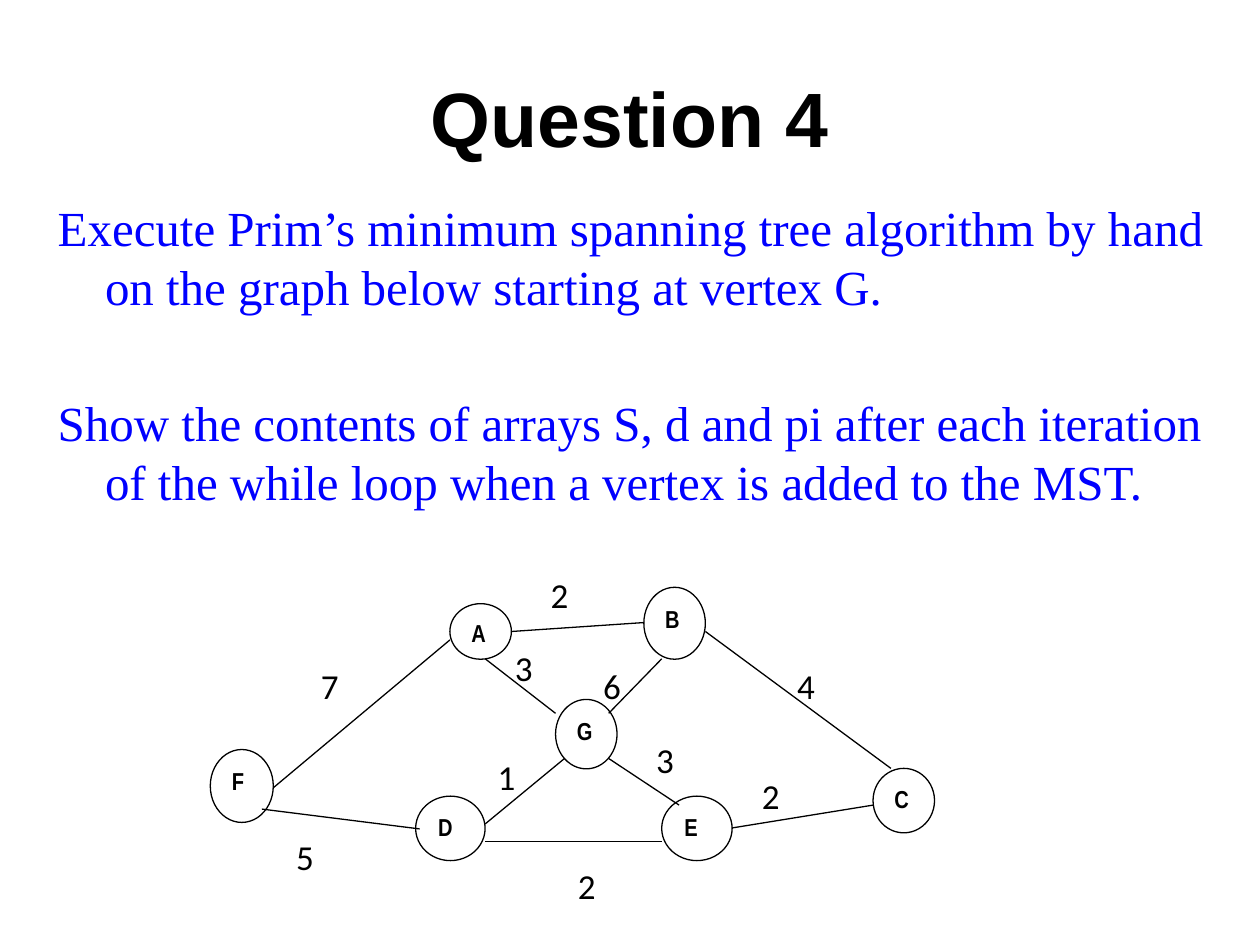
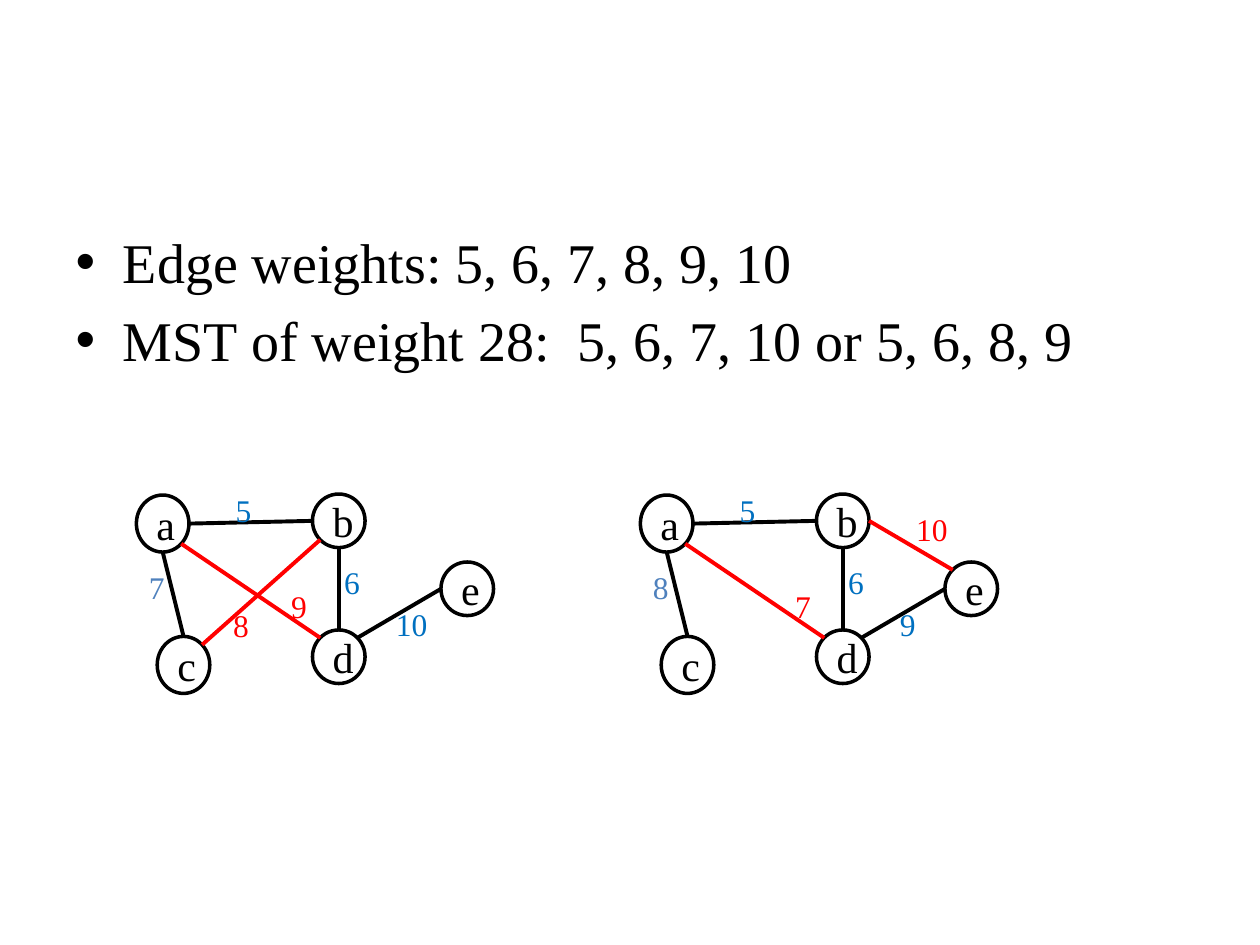
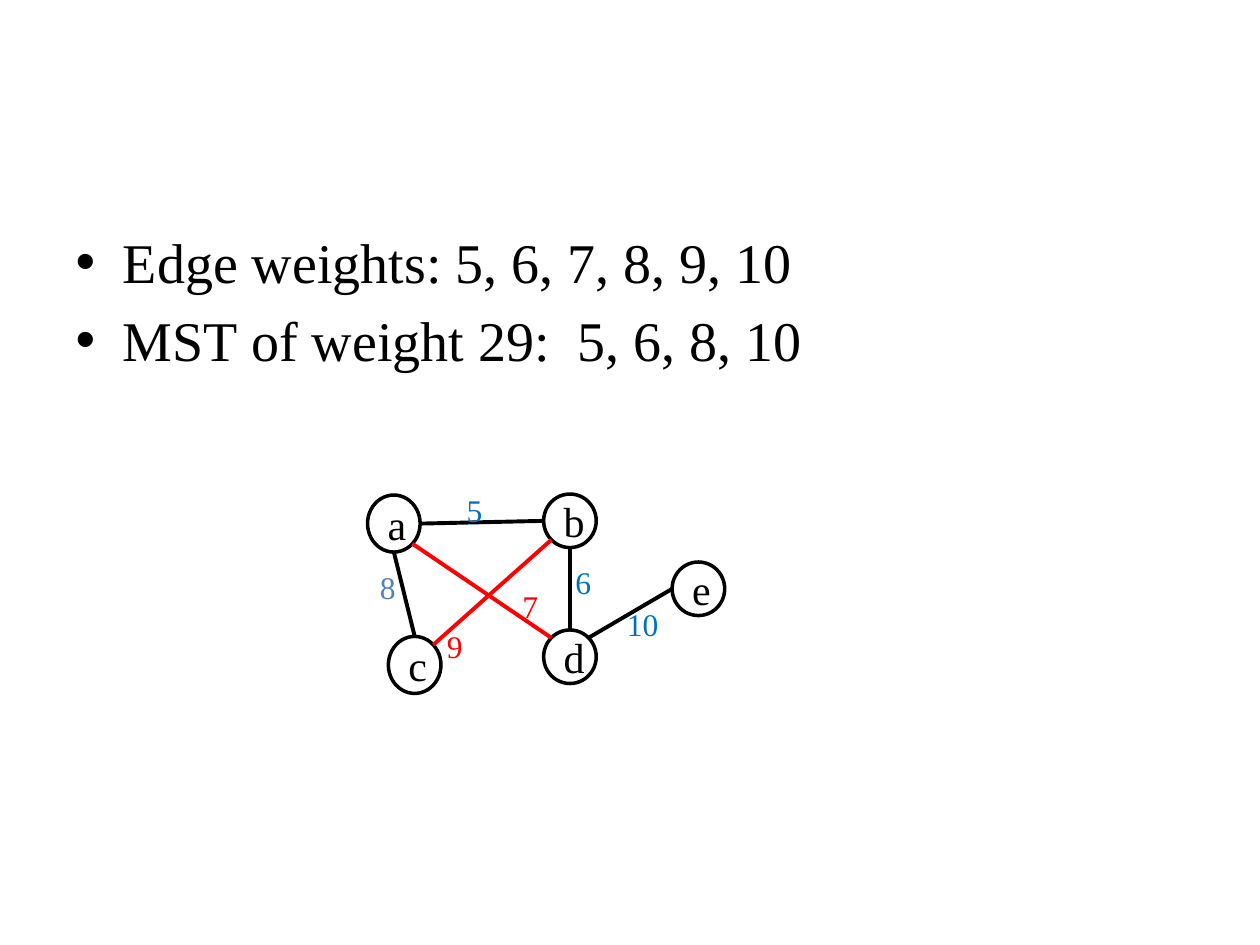
import math

from lxml import etree
from pptx import Presentation
from pptx import util as u
from pptx.dml.color import RGBColor
from pptx.enum import shapes, text
from pptx.oxml import ns

# Shared style
COLORS = {"black": "000000", "white": "FFFFFF", "blue": "0000FF",
          "red": "FF0000", "weight": "0070C0", "accent": "4F81BD"}
SERIF = "Times New Roman"

# Hand-run exercise: node name -> left, top, width, height in cm
PRIM_NODES = {
    "A": (9.07, 12.17, 1.24, 1.12), "B": (12.98, 11.84, 1.24, 1.45),
    "G": (11.2, 14.1, 1.24, 1.4), "F": (4.24, 15.11, 1.27, 1.47),
    "D": (8.38, 16.05, 1.4, 1.3), "E": (13.34, 16.05, 1.42, 1.3),
    "C": (17.6, 15.49, 1.24, 1.3),
}
# Start, end, weight, left and top of the weight
PRIM_EDGES = [
    ((10.31, 12.73), (12.98, 12.55), "2", (10.85, 11.43)),
    ((5.51, 15.88), (9.07, 12.9), "7", (6.22, 13.28)),
    ((9.78, 13.28), (11.2, 14.38), "3", (10.13, 12.9)),
    ((12.27, 14.38), (13.34, 13.28), "6", (11.91, 13.28)),
    ((12.27, 15.29), (13.69, 16.23), "3", (12.98, 14.76)),
    ((11.38, 15.29), (9.78, 16.61), "1", (9.78, 15.11)),
    ((5.28, 16.31), (8.46, 16.71), "5", (5.72, 16.71)),
    ((9.78, 16.97), (13.34, 16.97), "2", (11.4, 17.3)),
    ((14.22, 12.73), (17.96, 15.49), "4", (15.82, 13.28)),
    ((14.76, 16.69), (17.6, 16.23), "2", (15.11, 15.49)),
]

# Small graph, measured from the left side of node a
MST_NODES = {
    "a": (0, 9.98, 1.06, 1.15), "c": (0.42, 12.83, 1.06, 1.15),
    "b": (3.55, 9.96, 1.06, 1.08), "d": (3.55, 12.7, 1.06, 1.08),
    "e": (6.14, 11.33, 1.06, 1.08),
}
# Edge -> angle at each end, line colour, weight colour, left, top, width
MST_EDGES = {
    "ab": (0, 180, "black", "weight", (1.75, 9.78, 1.07)),
    "ac": (90, 270, "black", "accent", (0, 11.33, 0.99)),
    "db": (270, 90, "black", "weight", (3.94, 11.23, 1.14)),
    "cb": (315, 135, "red", "red", (1.7, 12.09, 0.99)),
    "da": (225, 45, "red", "red", (2.87, 11.71, 1.04)),
    "de": (315, 180, "black", "weight", (4.98, 12.07, 1.45)),
    "eb": (225, 0, "red", "red", (5.31, 10.16, 1.52)),
}


def site(node, angle):
    """Point on the outline of an ellipse, clockwise from its right side."""
    left, top, width, height = node
    turn = math.radians(angle)
    return (left + width / 2 * (1 + math.cos(turn)),
            top + height / 2 * (1 + math.sin(turn)))


class Slides:
    def __init__(self):
        self.deck = Presentation()
        self.deck.slide_width, self.deck.slide_height = u.Cm(25.4), u.Cm(19.05)
        self.page = None

    def color(self, name):
        return RGBColor.from_string(COLORS[name])

    def style(self, para, font, size, color="black", bold=False):
        for span in para.runs:
            span.font.name, span.font.size = font, u.Pt(size)
            span.font.bold = bold
            span.font.color.rgb = self.color(color)

    def place(self, box, left, top, width, height):
        box.left, box.top = u.Cm(left), u.Cm(top)
        box.width, box.height = u.Cm(width), u.Cm(height)

    def start(self, title=None):
        self.page = self.deck.slides.add_slide(self.deck.slide_layouts[1])
        box = self.page.shapes.title
        if title is None:
            box.element.getparent().remove(box.element)
            return
        self.place(box, 1.27, 0.76, 22.86, 3.18)
        box.text_frame.text = title
        self.style(box.text_frame.paragraphs[0], "Arial", 44, bold=True)

    def body(self, lines, area, size, color="black", bullets=True, gap=None):
        box = self.page.placeholders[1]
        self.place(box, *area)
        frame = box.text_frame
        frame.text = "\n".join(lines)
        frame.auto_size = text.MSO_AUTO_SIZE.NONE
        for index, para in enumerate(frame.paragraphs):
            if index == 0:
                para.space_before = u.Pt(0)
            elif gap:
                para.space_before = u.Pt(gap)
            if not bullets:
                etree.SubElement(para._p.get_or_add_pPr(), ns.qn("a:buNone"))
            self.style(para, SERIF, size, color)

    def node(self, name, area, font, size, width, bold=False, centred=True):
        box = self.page.shapes.add_shape(shapes.MSO_SHAPE.OVAL, *map(u.Cm, area))
        box.shadow.inherit = False
        box.fill.solid()
        box.fill.fore_color.rgb = self.color("white")
        box.line.color.rgb = self.color("black")
        box.line.width = u.Pt(width)
        frame = box.text_frame
        frame.text = name
        para = frame.paragraphs[0]
        if centred:
            frame.vertical_anchor = text.MSO_ANCHOR.MIDDLE
            para.alignment = text.PP_ALIGN.CENTER
        else:
            frame.vertical_anchor = text.MSO_ANCHOR.TOP
            para.alignment = text.PP_ALIGN.LEFT
        self.style(para, font, size, bold=bold)

    def edge(self, start, end, width, color="black"):
        line = self.page.shapes.add_connector(
            shapes.MSO_CONNECTOR.STRAIGHT, *map(u.Cm, (*start, *end)))
        line.line.color.rgb = self.color(color)
        line.line.width = u.Pt(width)
        etree.SubElement(line._element.spPr, ns.qn("a:effectLst"))

    def weight(self, value, area, font, size, color="black", filled=False):
        box = self.page.shapes.add_textbox(*map(u.Cm, area))
        if filled:
            box.fill.solid()
            box.fill.fore_color.rgb = self.color("white")
        frame = box.text_frame
        frame.text = value
        frame.word_wrap = True
        self.style(frame.paragraphs[0], font, size, color)

    def prim_graph(self):
        for _, _, value, corner in PRIM_EDGES:
            self.weight(value, (*corner, 1.07, 1.12), "Calibri", 20, filled=True)
        for name, area in PRIM_NODES.items():
            self.node(name, area, "Arial Narrow", 14, 0.75, bold=True, centred=False)
        for start, end, _, _ in PRIM_EDGES:
            self.edge(start, end, 0.75)

    def mst_graph(self, origin, weights, moved=None):
        nodes = {name: (origin + left, *rest)
                 for name, (left, *rest) in MST_NODES.items()}
        for name, area in nodes.items():
            self.node(name, area, SERIF, 24, 2)
        for (first, last), value in weights.items():
            key = first + last
            leave, reach, line, ink, spot = MST_EDGES[key]
            left, top, width = (moved or {}).get(key, spot)
            self.edge(site(nodes[first], leave), site(nodes[last], reach), 2.25, line)
            self.weight(value, (origin + left, top, width, 1.02), SERIF, 18, ink)


def main():
    slides = Slides()
    list_area = (1.27, 4.45, 22.86, 12.57)
    weights_line = "Edge weights: 5, 6, 7, 8, 9, 10"

    # Question
    slides.start("Question 4")
    slides.body(
        ["Execute Prim’s minimum spanning tree algorithm by hand on the graph "
         "below starting at vertex G.",
         "Show the contents of arrays S, d and pi after each iteration of the "
         "while loop when a vertex is added to the MST."],
        (0.91, 3.86, 23.77, 7.82), 28, "blue", bullets=False, gap=44)
    slides.prim_graph()

    # Two graphs of weight 28
    slides.start()
    slides.body([weights_line, "MST of weight 28:  5, 6, 7, 10 or 5, 6, 8, 9"],
                list_area, 32)
    slides.mst_graph(2.75, {"ab": "5", "ac": "7", "db": "6", "cb": "8",
                            "da": "9", "de": "10"})
    slides.mst_graph(12.91, {"ab": "5", "ac": "8", "db": "6", "eb": "10",
                             "da": "7", "de": "9"})

    # One graph of weight 29
    slides.start()
    slides.body([weights_line, "MST of weight 29:  5, 6, 8, 10"], list_area, 32)
    slides.mst_graph(7.41, {"ab": "5", "ac": "8", "db": "6", "cb": "9",
                            "da": "7", "de": "10"},
                     moved={"cb": (1.35, 12.52, 1.52)})

    slides.deck.save("out.pptx")


if __name__ == "__main__":
    main()
